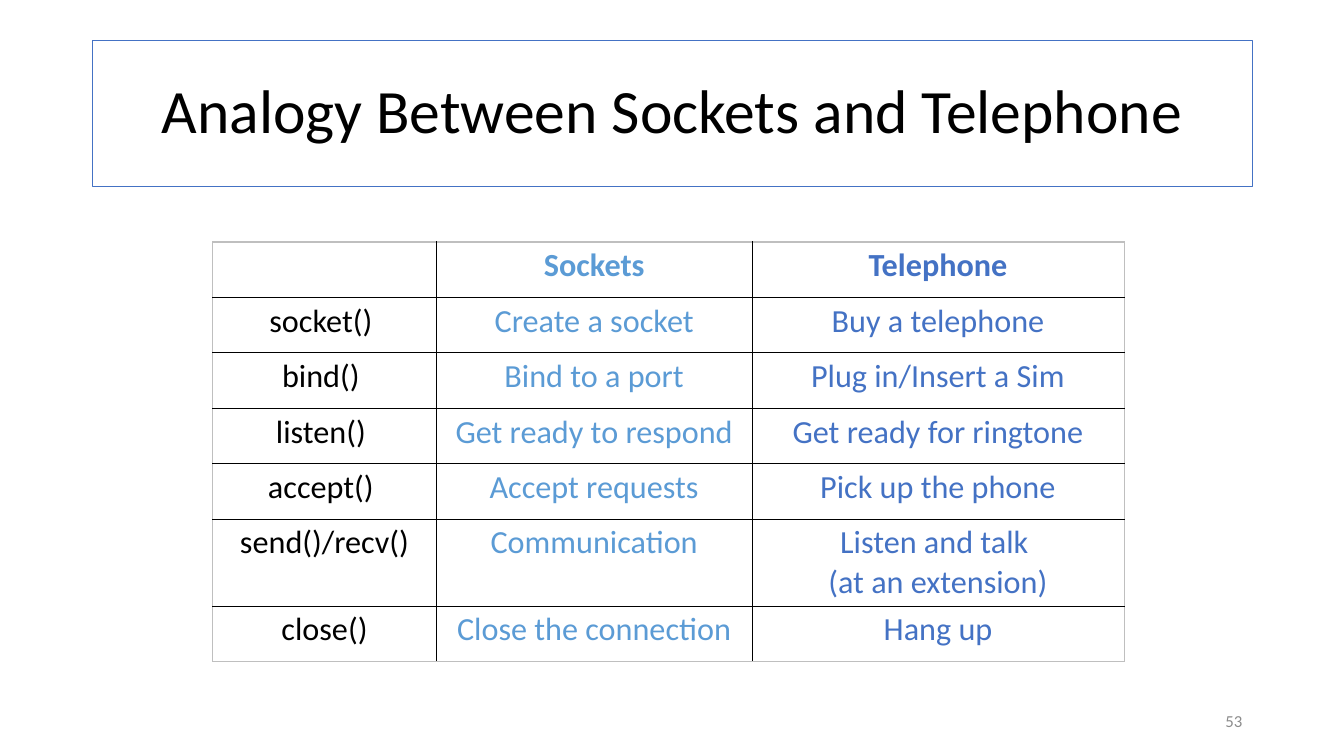
from lxml.etree import SubElement
from pptx import Presentation
from pptx.dml.color import RGBColor
from pptx.enum.text import MSO_ANCHOR as Anchor, PP_ALIGN as Align
from pptx.oxml.ns import qn
from pptx.util import Pt

PX = 9144
BLACK = RGBColor(0x00, 0x00, 0x00)
WHITE = RGBColor(0xFF, 0xFF, 0xFF)
GRAY = RGBColor(0x8C, 0x8C, 0x8C)
SILVER = RGBColor(0xBF, 0xBF, 0xBF)
SKY = RGBColor(0x5B, 0x9B, 0xD5)
BLUE = RGBColor(0x44, 0x72, 0xC4)

COLS = [222, 313, 369]
HUES = [BLACK, SKY, BLUE]
ROW, TALL = 55, 82
CALLS = [
    ("", "Sockets", "Telephone"),
    ("socket() ", "Create a socket", "Buy a telephone"),
    ("bind() ", "Bind to a port", "Plug in/Insert a Sim"),
    ("listen() ", "Get ready to respond", "Get ready for ringtone"),
    ("accept() ", "Accept requests", "Pick up the phone"),
    ("send()/recv()", "Communication", "Listen and talk \n(at an extension)"),
    ("close()", "Close the connection", "Hang up"),
]


def px(*nums):
    """Turn px lengths into a list of EMU."""
    return [num * PX for num in nums]


def write(frame, text, size=23, color=BLACK, bold=False, align=Align.CENTER,
          space=None):
    """Fill a text frame, one paragraph per line of text."""
    for i, line in enumerate(text.split("\n")):
        para = frame.add_paragraph() if i else frame.paragraphs[0]
        para.alignment = align
        para.line_spacing = space
        run = para.add_run()
        run.text = line
        font = run.font
        font.name, font.size, font.bold = "Calibri", Pt(size), bold
        font.color.rgb = color


def add_title(slide, text):
    """Place and outline the title."""
    title = slide.shapes.title
    title.left, title.top, title.width, title.height = px(92, 40, 1150, 145)
    title.fill.solid()
    title.fill.fore_color.rgb = WHITE
    title.line.color.rgb = BLUE
    title.line.width = Pt(1)
    title.text_frame.word_wrap = True
    title.text_frame.vertical_anchor = Anchor.MIDDLE
    write(title.text_frame, text, size=44, space=0.9)


def edge(cell, side, outer):
    """Draw one border of a cell."""
    line = SubElement(cell._tc.get_or_add_tcPr(), qn("a:ln" + side),
                      w=str(Pt(1)))
    fill = SubElement(line, qn("a:solidFill"))
    SubElement(fill, qn("a:srgbClr"), val=str(SILVER if outer else BLACK))


def add_grid(slide, rows):
    """Add the table that compares the calls."""
    high = [TALL if any("\n" in text for text in row) else ROW for row in rows]
    box = px(211, 240, sum(COLS), sum(high))
    table = slide.shapes.add_table(len(rows), len(COLS), *box).table
    table.first_row = table.horz_banding = False
    for col, width in zip(table.columns, px(*COLS)):
        col.width = width
    for r, row in enumerate(rows):
        table.rows[r].height = high[r] * PX
        for c, text in enumerate(row):
            cell = table.cell(r, c)
            cell.margin_left = cell.margin_right = 7 * PX
            cell.margin_top = cell.margin_bottom = 4 * PX
            edge(cell, "L", c == 0)
            edge(cell, "R", c == len(COLS) - 1)
            edge(cell, "T", r == 0)
            edge(cell, "B", r == len(rows) - 1)
            cell.fill.solid()
            cell.fill.fore_color.rgb = WHITE
            if text:
                write(cell.text_frame, text, color=HUES[c], bold=r == 0)


def add_label(slide, text, box, **style):
    """Add a text box centred in height."""
    frame = slide.shapes.add_textbox(*px(*box)).text_frame
    frame.word_wrap = True
    frame.vertical_anchor = Anchor.MIDDLE
    write(frame, text, **style)


def main():
    """Build and save the slide."""
    deck = Presentation()
    deck.slide_width, deck.slide_height = px(1333, 750)
    slide = deck.slides.add_slide(deck.slide_layouts.get_by_name("Title Only"))
    add_title(slide, "Analogy Between Sockets and Telephone")
    add_grid(slide, CALLS)
    add_label(slide, "53", (942, 695, 300, 40), size=12, color=GRAY,
              align=Align.RIGHT)
    deck.save("out.pptx")


if __name__ == "__main__":
    main()
